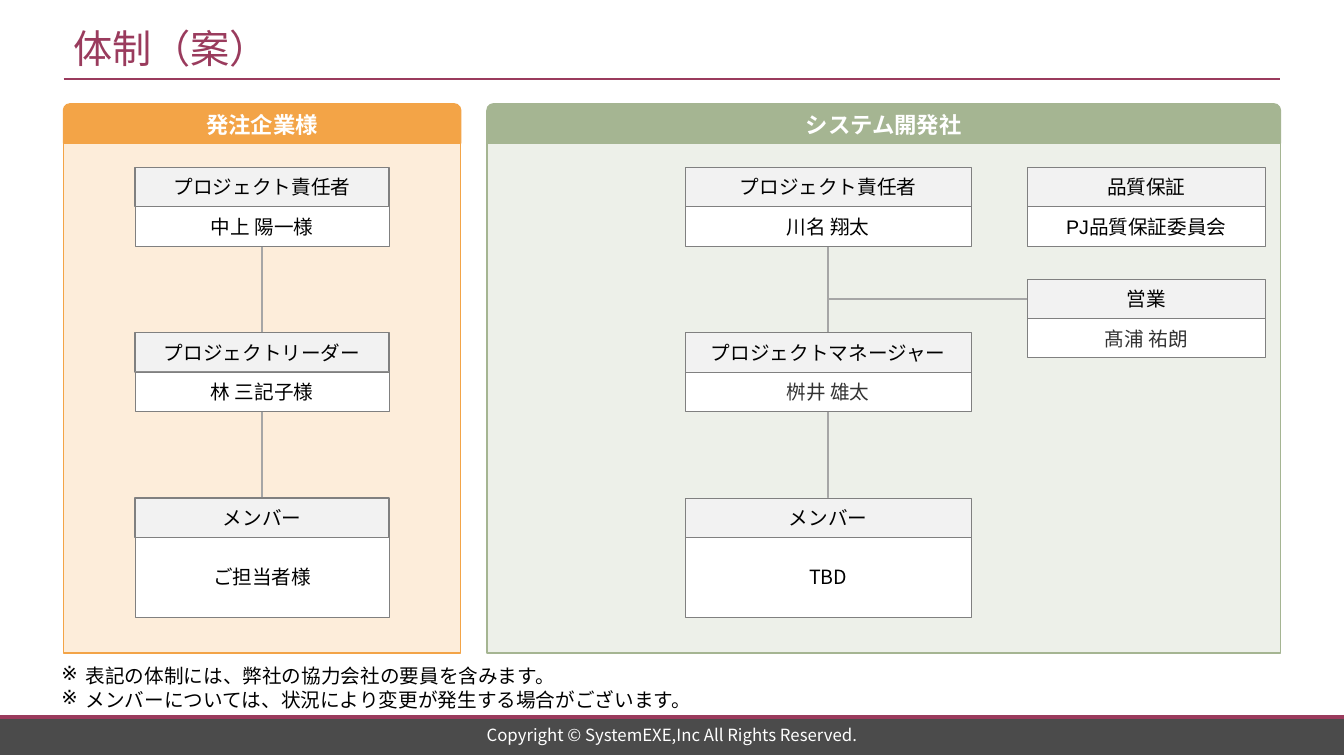
from dataclasses import dataclass

from lxml import etree
from pptx import Presentation
from pptx.dml.color import RGBColor
from pptx.enum.shapes import MSO_CONNECTOR, MSO_SHAPE
from pptx.enum.text import MSO_ANCHOR, PP_ALIGN
from pptx.oxml.ns import qn
from pptx.shapes.autoshape import Shape
from pptx.slide import Slide
from pptx.text.text import _Paragraph
from pptx.util import Inches, Pt

RECTANGLE = MSO_SHAPE.RECTANGLE
ROUNDED_TOP = MSO_SHAPE.ROUND_2_SAME_RECTANGLE
STRAIGHT = MSO_CONNECTOR.STRAIGHT
MIDDLE, TOP = MSO_ANCHOR.MIDDLE, MSO_ANCHOR.TOP
CENTER, LEFT = PP_ALIGN.CENTER, PP_ALIGN.LEFT

NOTO, ARIAL, CALIBRI = "Noto Sans CJK JP", "Arial", "Calibri"


@dataclass(frozen=True)
class Theme:
    accent: str = "9A3B5D"
    footer: str = "4B4B4B"
    white: str = "FFFFFF"
    black: str = "000000"
    dark_grey: str = "333333"
    role_fill: str = "F2F2F2"
    box_line: str = "808080"
    connector: str = "A6A6A6"
    orange: str = "F3A447"
    pale_orange: str = "FDEDDA"
    green: str = "A5B592"
    pale_green: str = "EDF0E9"
    title_size: int = 28
    heading_size: int = 16
    body_size: int = 14
    footer_size: int = 12


THEME = Theme()


@dataclass(frozen=True)
class Area:
    left: float
    top: float
    width: float
    height: float


@dataclass(frozen=True)
class TextStyle:
    size: int
    color: str
    font: str = NOTO
    bold: bool = False
    align: PP_ALIGN = CENTER
    anchor: MSO_ANCHOR = MIDDLE


@dataclass(frozen=True)
class Panel:
    left: float
    width: float
    heading: str
    color: str
    body_color: str


@dataclass(frozen=True)
class Column:
    left: float
    width: float
    role_line: float
    role_font: str


@dataclass(frozen=True)
class RoleBox:
    column: Column
    top: float
    role: str
    person: str
    person_font: str = NOTO
    person_color: str = THEME.black
    person_height: float = 0.39


@dataclass(frozen=True)
class Line:
    start: tuple[float, float]
    end: tuple[float, float]
    color: str = THEME.connector
    width: float = 1.5


ROW_HEIGHT = 0.39
TALL_HEIGHT = 0.79
PANEL_TOP, PANEL_BODY_HEIGHT = 1.03, 5.06
ROW_TOPS = [round(1.66 + 1.64 * row, 2) for row in range(3)]
SALES_TOP = 2.77

PANELS = [
    Panel(0.63, 3.94, "発注企業様", THEME.orange, THEME.pale_orange),
    Panel(4.83, 7.87, "システム開発社", THEME.green, THEME.pale_green),
]

CLIENT = Column(1.34, 2.52, 1, CALIBRI)
VENDOR = Column(6.8, 2.83, 0.5, NOTO)
SUPPORT = Column(10.19, 2.36, 0.5, NOTO)

ROLE_BOXES = [
    RoleBox(CLIENT, ROW_TOPS[0], "プロジェクト責任者", "中上 陽一様"),
    RoleBox(CLIENT, ROW_TOPS[1], "プロジェクトリーダー", "林 三記子様", ARIAL),
    RoleBox(CLIENT, ROW_TOPS[2], "メンバー", "ご担当者様", person_height=TALL_HEIGHT),
    RoleBox(VENDOR, ROW_TOPS[0], "プロジェクト責任者", "川名 翔太", ARIAL),
    RoleBox(VENDOR, ROW_TOPS[1], "プロジェクトマネージャー", "桝井 雄太", NOTO, THEME.dark_grey),
    RoleBox(VENDOR, ROW_TOPS[2], "メンバー", "TBD", person_height=TALL_HEIGHT),
    RoleBox(SUPPORT, ROW_TOPS[0], "品質保証", "PJ品質保証委員会", ARIAL),
    RoleBox(SUPPORT, SALES_TOP, "営業", "髙浦 祐朗", NOTO, THEME.dark_grey),
]

NOTES = [
    "表記の体制には、弊社の協力会社の要員を含みます。",
    "メンバーについては、状況により変更が発生する場合がございます。",
]


def rgb(color: str) -> RGBColor:
    return RGBColor.from_string(color)


def place(area: Area) -> tuple[Inches, ...]:
    return tuple(Inches(n) for n in (area.left, area.top, area.width, area.height))


def add_bullet(paragraph: _Paragraph, character: str, indent: float) -> None:
    properties = paragraph._p.get_or_add_pPr()
    properties.set("marL", str(Inches(indent)))
    properties.set("indent", str(-Inches(indent)))
    etree.SubElement(properties, qn("a:buChar")).set("char", character)


def write_text(shape: Shape, lines: list[str], style: TextStyle, bullet: str = "") -> None:
    frame = shape.text_frame
    frame.word_wrap = True
    frame.vertical_anchor = style.anchor
    frame.text = "\n".join(lines)
    formats = {"size": Pt(style.size), "name": style.font, "bold": style.bold}
    for paragraph in frame.paragraphs:
        paragraph.alignment = style.align
        if bullet:
            add_bullet(paragraph, bullet, 0.24)
        font = paragraph.runs[0].font
        for attribute, value in formats.items():
            setattr(font, attribute, value)
        font.color.rgb = rgb(style.color)
        properties = paragraph.runs[0]._r.get_or_add_rPr()
        etree.SubElement(properties, qn("a:ea")).set("typeface", NOTO)


def add_box(slide: Slide, area: Area, fill: str, line: str = "", line_width: float = 1,
            kind: MSO_SHAPE = RECTANGLE) -> Shape:
    shape = slide.shapes.add_shape(kind, *place(area))
    shape.shadow.inherit = False
    shape.fill.solid()
    shape.fill.fore_color.rgb = rgb(fill)
    if line:
        shape.line.color.rgb = rgb(line)
        shape.line.width = Pt(line_width)
    else:
        shape.line.fill.background()
    return shape


def add_text(slide: Slide, area: Area, lines: list[str], style: TextStyle, bullet: str = "") -> None:
    write_text(slide.shapes.add_textbox(*place(area)), lines, style, bullet)


def add_line(slide: Slide, line: Line) -> None:
    points = [Inches(n) for n in (*line.start, *line.end)]
    connector = slide.shapes.add_connector(STRAIGHT, *points)
    connector.line.color.rgb = rgb(line.color)
    connector.line.width = Pt(line.width)
    etree.SubElement(connector._element.spPr, qn("a:effectLst"))


def add_panel(slide: Slide, panel: Panel) -> None:
    body = Area(panel.left, PANEL_TOP + ROW_HEIGHT, panel.width, PANEL_BODY_HEIGHT)
    add_box(slide, body, panel.body_color, panel.color)
    heading = Area(panel.left, PANEL_TOP, panel.width, ROW_HEIGHT)
    shape = add_box(slide, heading, panel.color, panel.color, kind=ROUNDED_TOP)
    write_text(shape, [panel.heading], TextStyle(THEME.heading_size, THEME.white, bold=True))


def add_role_box(slide: Slide, box: RoleBox) -> None:
    column = box.column
    role_area = Area(column.left, box.top, column.width, ROW_HEIGHT)
    role = add_box(slide, role_area, THEME.role_fill, THEME.box_line, column.role_line)
    write_text(role, [box.role], TextStyle(THEME.body_size, THEME.black, column.role_font))
    person_area = Area(column.left, box.top + ROW_HEIGHT, column.width, box.person_height)
    person = add_box(slide, person_area, THEME.white, THEME.box_line, 0.5)
    write_text(person, [box.person], TextStyle(THEME.body_size, box.person_color, box.person_font))


def chart_lines() -> list[Line]:
    lines = []
    for column in (CLIENT, VENDOR):
        center = column.left + column.width / 2
        for upper, lower in zip(ROW_TOPS, ROW_TOPS[1:]):
            lines.append(Line((center, upper + 2 * ROW_HEIGHT), (center, lower)))
    sales_middle = 2.97
    lines.append(Line((VENDOR.left + VENDOR.width / 2, sales_middle), (SUPPORT.left, sales_middle)))
    return lines


def main() -> None:
    presentation = Presentation()
    presentation.slide_width, presentation.slide_height = Inches(13.33), Inches(7.5)
    slide = presentation.slides.add_slide(presentation.slide_layouts[6])
    add_box(slide, Area(0, 7.1, 13.33, 0.39), THEME.footer)
    add_line(slide, Line((0, 7.11), (13.33, 7.11), THEME.accent, 2.75))
    add_line(slide, Line((0.63, 0.78), (12.7, 0.78), THEME.accent))
    add_text(slide, Area(0.63, 0.2, 12.07, 0.55), ["体制（案）"],
             TextStyle(THEME.title_size, THEME.accent, align=LEFT))
    add_text(slide, Area(3.32, 7.17, 6.69, 0.24), ["Copyright © SystemEXE,Inc All Rights Reserved."],
             TextStyle(THEME.footer_size, THEME.white))
    for panel in PANELS:
        add_panel(slide, panel)
    for line in chart_lines():
        add_line(slide, line)
    for box in ROLE_BOXES:
        add_role_box(slide, box)
    add_text(slide, Area(0.51, 6.54, 11.81, 0.55), NOTES,
             TextStyle(THEME.body_size, THEME.black, ARIAL, align=LEFT, anchor=TOP), "※")
    presentation.save("out.pptx")


if __name__ == "__main__":
    main()
